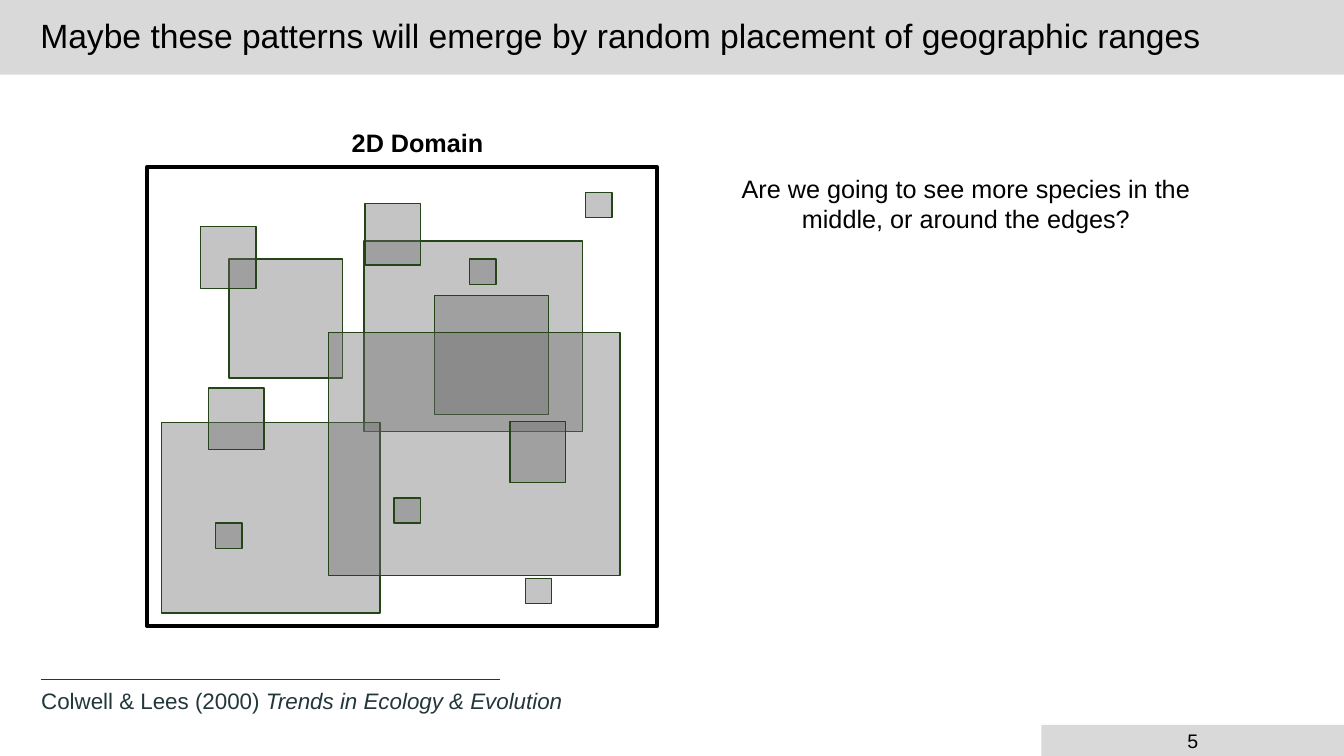
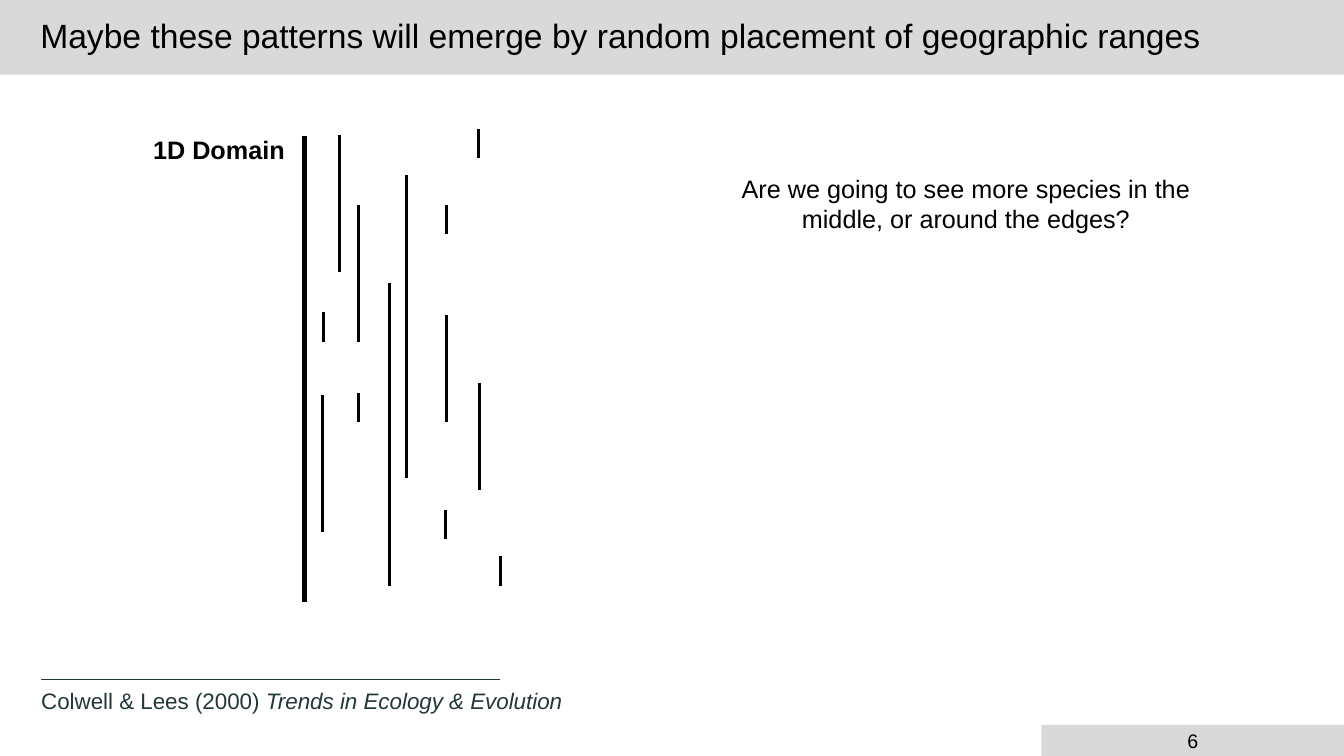
"""Build two slides on random placement of geographic ranges in 2D and 1D domains."""
import pptx
import pptx.dml.color
import pptx.enum.shapes
import pptx.enum.text
import pptx.oxml.ns
import pptx.util
from lxml import etree

Inches = pptx.util.Inches
Pt = pptx.util.Pt
ALIGN = pptx.enum.text.PP_ALIGN
ANCHOR = pptx.enum.text.MSO_ANCHOR

THEME = {
    "font": "Arial",
    "ink": "000000", "band": "D9D9D9", "citation": "23373B",
    "range_fill": "6C6C6C", "range_line": "254519",
    "title_size": 24, "body_size": 18, "citation_size": 16, "number_size": 14,
    "thin": 1, "medium": 2.25, "thick": 3,
    "range_opacity": 40,
}

TITLE = "Maybe these patterns will emerge by random placement of geographic ranges"
QUESTION = "Are we going to see more species in the middle, or around the edges?"
CITATION = [("Colwell & Lees (2000) ", False), ("Trends in Ecology & Evolution", True)]
FIRST_NUMBER = 5

DOMAIN_FRAME = (1.46, 1.66, 5.06, 4.55)
RANGES_2D = [
    ((2.17, 1.89), [(3.61, 2.39), (1.6, 4.19)]),
    ((1.13, 1.18), [(2.27, 2.57), (4.31, 2.93)]),
    ((2.89, 2.41), [(3.26, 3.3)]),
    ((0.55, 0.61), [(2.07, 3.85), (5.06, 4.18), (1.99, 2.25), (3.62, 2.02)]),
    ((0.26, 0.25), [(2.14, 5.19), (4.66, 2.57), (3.91, 4.94), (5.21, 5.74), (5.81, 1.91)]),
]

DOMAIN_LINE = (3.02, 1.35, 4.62)
RANGES_1D = [
    (1.36, [(3.37, 1.34), (3.56, 2.03), (3.2, 3.92)]),
    (3, [(3.86, 2.81), (4.03, 1.74)]),
    (1.06, [(4.43, 3.13), (4.76, 3.8)]),
    (0.29, [(3.56, 3.9), (4.42, 5.06), (4.43, 2.03), (4.75, 1.28), (3.21, 3.1), (4.96, 5.52)]),
]


def color(name):
    return pptx.dml.color.RGBColor.from_string(THEME[name])


def inches(*lengths):
    return [Inches(length) for length in lengths]


def write(shape, spans, size, ink="ink", bold=False, align=ALIGN.LEFT):
    para = shape.text_frame.paragraphs[0]
    para.alignment = align
    for text, italic in spans:
        span = para.add_run()
        span.text = text
        font = span.font
        font.name, font.size = THEME["font"], Pt(THEME[size])
        font.bold, font.italic = bold, italic
        font.color.rgb = color(ink)
    return para


def add_text(shapes, bounds, spans, size, wrap=True, **style):
    box = shapes.add_textbox(*inches(*bounds))
    box.text_frame.word_wrap = wrap
    box.text_frame.auto_size = pptx.enum.text.MSO_AUTO_SIZE.SHAPE_TO_FIT_TEXT
    write(box, spans, size, **style)


def add_rectangle(shapes, bounds, fill=None, line=None, weight="thin"):
    shape = shapes.add_shape(pptx.enum.shapes.MSO_SHAPE.RECTANGLE, *inches(*bounds))
    shape.shadow.inherit = False
    if fill:
        shape.fill.solid()
        shape.fill.fore_color.rgb = color(fill)
    else:
        shape.fill.background()
    if line:
        shape.line.color.rgb = color(line)
        shape.line.width = Pt(THEME[weight])
    else:
        shape.line.fill.background()
    return shape


def add_line(shapes, start, end, ink, weight):
    line = shapes.add_connector(
        pptx.enum.shapes.MSO_CONNECTOR.STRAIGHT, *inches(*start, *end))
    line.line.color.rgb = color(ink)
    line.line.width = Pt(THEME[weight])
    etree.SubElement(line._element.spPr, pptx.oxml.ns.qn("a:effectLst"))


def add_range(shapes, bounds):
    shape = add_rectangle(shapes, bounds, "range_fill", "range_line")
    tint = shape._element.spPr.find(
        pptx.oxml.ns.qn("a:solidFill") + "/" + pptx.oxml.ns.qn("a:srgbClr"))
    alpha = etree.SubElement(tint, pptx.oxml.ns.qn("a:alpha"))
    alpha.set("val", str(THEME["range_opacity"] * 1000))


def add_label(shapes, left, top, text):
    add_text(shapes, (left, top, 1.52, 0.4), [(text, False)], "body_size",
             wrap=False, bold=True)


def draw_2d_domain(page):
    add_rectangle(page.shapes, DOMAIN_FRAME, line="ink", weight="thick")
    add_label(page.shapes, 3.39, 1.21, "2D Domain")
    for size, corners in RANGES_2D:
        for corner in corners:
            add_range(page.shapes, corner + size)


def draw_1d_domain(page):
    shapes = page.shapes.add_group_shape().shapes
    add_label(shapes, 1.42, 1.28, "1D Domain")
    left, top, length = DOMAIN_LINE
    add_line(shapes, (left, top), (left, top + length), "ink", "thick")
    for length, starts in RANGES_1D:
        for left, top in starts:
            add_line(shapes, (left, top), (left, top + length), "ink", "medium")


def add_page(deck, number, draw_domain):
    page = deck.slides.add_slide(deck.slide_layouts[6])
    shapes = page.shapes
    title = add_rectangle(shapes, (0, 0, 13.33, 0.74), "band")
    title.text_frame.margin_left = Inches(0.4)
    title.text_frame.word_wrap = True
    title.text_frame.vertical_anchor = ANCHOR.MIDDLE
    write(title, [(TITLE, False)], "title_size").line_spacing = 0.9
    footer = add_rectangle(shapes, (10.33, 7.19, 3, 0.31), "band")
    footer.text_frame.vertical_anchor = ANCHOR.MIDDLE
    write(footer, [(str(number), False)], "number_size", align=ALIGN.CENTER)
    add_text(shapes, (0.31, 6.77, 6.98, 0.36), CITATION, "citation_size", ink="citation")
    add_line(shapes, (0.41, 6.74), (4.96, 6.74), "citation", "thin")
    draw_domain(page)
    add_text(shapes, (7.05, 1.67, 5.06, 0.71), [(QUESTION, False)], "body_size",
             align=ALIGN.CENTER)


def main():
    deck = pptx.Presentation()
    deck.slide_width, deck.slide_height = inches(13.33, 7.5)
    for number, draw_domain in enumerate([draw_2d_domain, draw_1d_domain], FIRST_NUMBER):
        add_page(deck, number, draw_domain)
    deck.save("out.pptx")


if __name__ == "__main__":
    main()
